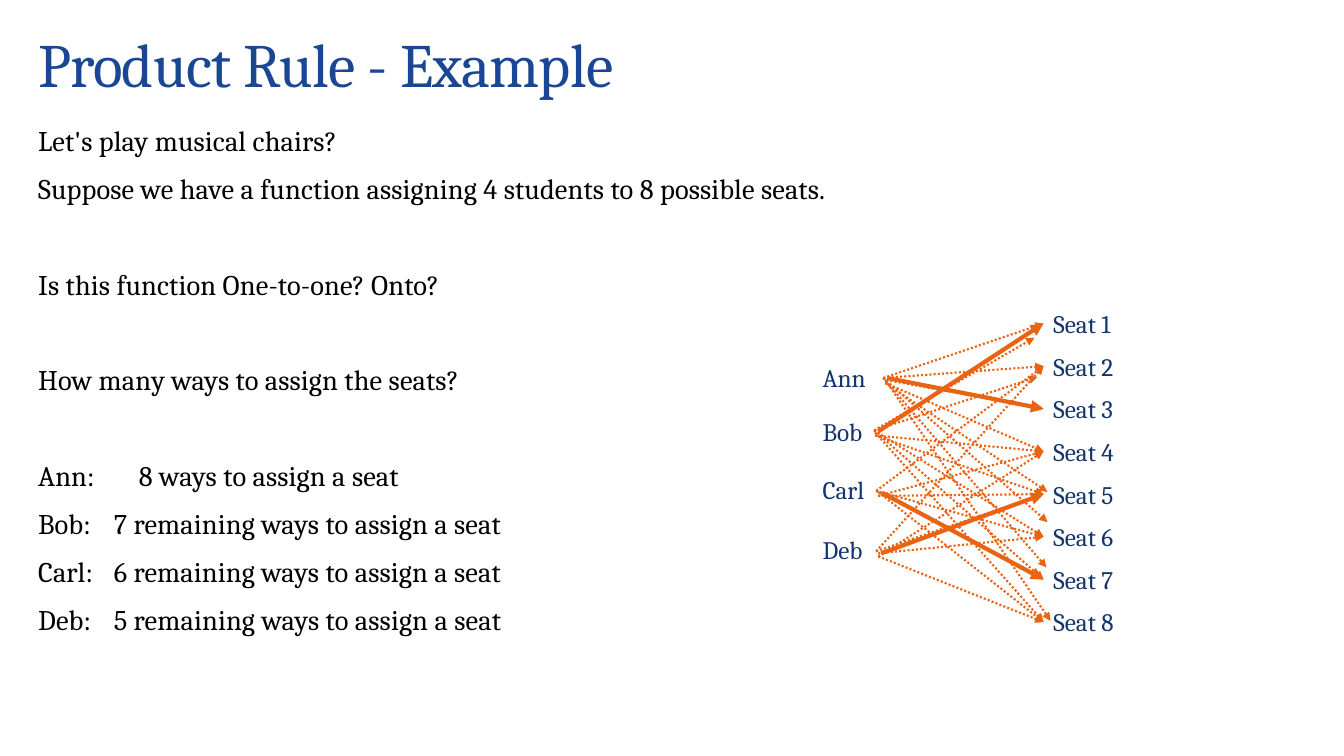
from lxml import etree
from pptx import Presentation
from pptx.dml.color import RGBColor
from pptx.enum.dml import MSO_LINE
from pptx.enum.shapes import MSO_CONNECTOR
from pptx.enum.text import MSO_ANCHOR
from pptx.oxml.ns import qn
from pptx.util import Inches, Pt

STRAIGHT = MSO_CONNECTOR.STRAIGHT
DOTTED = MSO_LINE.ROUND_DOT
BOTTOM = MSO_ANCHOR.BOTTOM
LEFT_SIDE, RIGHT_SIDE = 1, 3
FONT = "Cambria"
TITLE_BLUE, LABEL_BLUE, BLACK, ORANGE = "194793", "13356E", "000000", "EA6312"


def color(hex_string):
    return RGBColor.from_string(hex_string)


def add_span(para, text, size, hex_string, spacing=0):
    """Add a run; spacing is the letter spacing in hundredths of a point."""
    span = para.add_run()
    span.text = text
    span.font.name = FONT
    span.font.size = Pt(size)
    span.font.color.rgb = color(hex_string)
    if spacing:
        span.font._element.set("spc", str(spacing))


deck = Presentation()
deck.slide_width, deck.slide_height = Inches(13.33), Inches(7.5)
page = deck.slides.add_slide(deck.slide_layouts[6])

# Title
box = page.shapes.add_textbox(Inches(0.28), Inches(0.25), Inches(12.75), Inches(0.8))
box.text_frame.word_wrap = True
box.text_frame.vertical_anchor = BOTTOM
para = box.text_frame.paragraphs[0]
para.line_spacing = 0.9
add_span(para, "Product Rule - Example", 44, TITLE_BLUE, -50)

# Body: text, space before in points, tab stop in inches
NEAR, FAR = 14, 48.1
body_lines = [
    ("Let's play musical chairs?", 0, None),
    ("Suppose we have a function assigning 4 students to 8 possible seats.", NEAR, None),
    ("Is this function One-to-one? Onto?", FAR, None),
    ("How many ways to assign the seats?", FAR, None),
    ("Ann: \t8 ways to assign a seat", FAR, 1),
    ("Bob: \t7 remaining ways to assign a seat", NEAR, 0.75),
    ("Carl: \t6 remaining ways to assign a seat", NEAR, 0.75),
    ("Deb: \t5 remaining ways to assign a seat", NEAR, 0.75),
]
box = page.shapes.add_textbox(Inches(0.28), Inches(1.25), Inches(9.78), Inches(5.11))
box.text_frame.word_wrap = True
for index, (text, space_before, tab_stop) in enumerate(body_lines):
    para = box.text_frame.add_paragraph() if index else box.text_frame.paragraphs[0]
    if tab_stop:
        tab_list = etree.SubElement(para._p.get_or_add_pPr(), qn("a:tabLst"))
        etree.SubElement(tab_list, qn("a:tab"), pos=str(Inches(tab_stop)), algn="l")
    para.line_spacing = 0.75
    para.space_before = Pt(space_before)
    para.space_after = Pt(2)
    add_span(para, text, 20.3, BLACK, 10)

# Labels of the students and the seats
students = [("Ann", 3.55, 0.7), ("Bob", 4.08, 0.65), ("Carl", 4.66, 0.72), ("Deb", 5.25, 0.66)]
labels = [(name, 8.06, top, width) for name, top, width in students]
labels += [(f"Seat {n}", 10.35, 3.01 + 0.423 * (n - 1), 0.96) for n in range(1, 9)]
label_boxes = {}
for name, left, top, width in labels:
    box = page.shapes.add_textbox(Inches(left), Inches(top), Inches(width), Inches(0.4))
    box.text_frame.word_wrap = True
    add_span(box.text_frame.paragraphs[0], name, 18, LABEL_BLUE)
    label_boxes[name] = box

# Arrows: start (None is the label's side), end (seat number or point);
# the last arrow of each student is the chosen seat
arrows = {
    "Ann": [
        (None, 1), (None, 2), ((8.79, 3.77), 3), ((8.78, 3.8), 4),
        ((8.78, 3.8), (10.39, 4.88)), (None, (10.39, 5.18)),
        (None, (10.38, 5.63)), ((8.78, 3.77), (10.42, 6.16)),
        ((8.8, 3.75), 3),
    ],
    "Bob": [
        ((8.67, 4.27), (10.26, 3.35)), ((8.67, 4.27), (10.29, 3.74)),
        ((8.68, 4.32), 4), ((8.68, 4.32), 5), ((8.67, 4.27), 6),
        ((8.67, 4.27), 7), ((8.68, 4.29), 8),
        (None, 1),
    ],
    "Carl": [
        ((8.69, 4.87), 2), ((8.71, 4.92), 4), ((8.71, 4.92), 5),
        ((8.69, 4.87), 6), ((8.69, 4.87), 7), ((8.71, 4.88), 8),
        ((8.75, 4.89), 7),
    ],
    "Deb": [
        ((8.69, 5.47), 2), ((8.71, 5.52), 4), ((8.71, 5.52), 8),
        ((8.69, 5.47), 5), ((8.71, 5.49), 6),
        ((8.74, 5.49), 5),
    ],
}
for name, routes in arrows.items():
    for index, (start, end) in enumerate(routes):
        joins_seat = isinstance(end, int)
        start_x, start_y = start or (0, 0)
        end_x, end_y = (0, 0) if joins_seat else end
        arrow = page.shapes.add_connector(
            STRAIGHT, Inches(start_x), Inches(start_y), Inches(end_x), Inches(end_y))
        if start is None:
            arrow.begin_connect(label_boxes[name], RIGHT_SIDE)
        if joins_seat:
            arrow.end_connect(label_boxes[f"Seat {end}"], LEFT_SIDE)
        chosen = index == len(routes) - 1
        arrow.line.color.rgb = color(ORANGE)
        arrow.line.width = Pt(3 if chosen else 1.5)
        if not chosen:
            arrow.line.dash_style = DOTTED
        etree.SubElement(arrow.line._get_or_add_ln(), qn("a:tailEnd"), type="triangle")
        etree.SubElement(arrow._element.spPr, qn("a:effectLst"))

deck.save("out.pptx")
